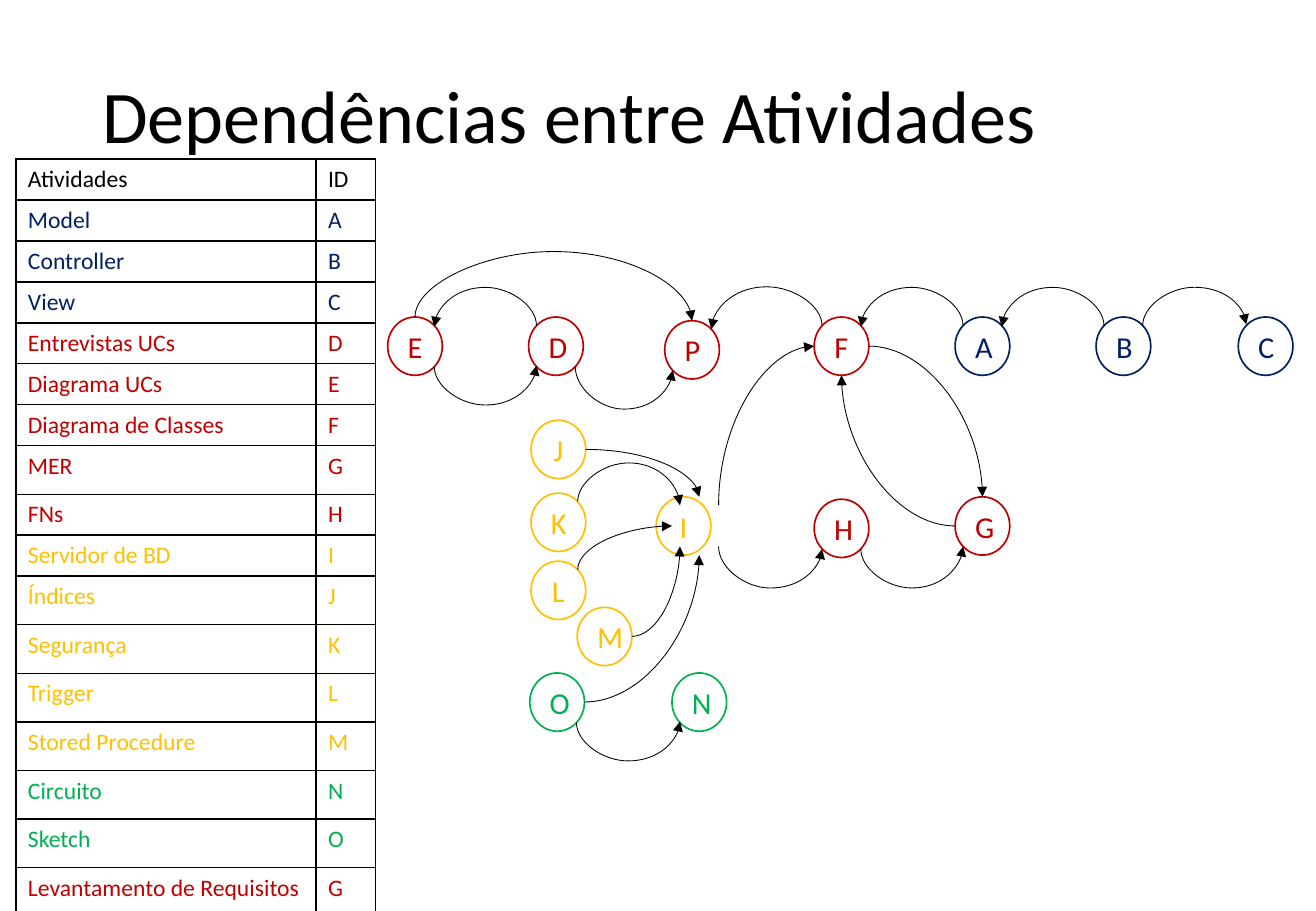
from dataclasses import dataclass

from pptx import Presentation
from pptx import util as u
from pptx.dml.color import RGBColor
from pptx.enum import shapes, text
from pptx.oxml.ns import qn
from lxml import etree


@dataclass(frozen=True)
class Theme:
    """Colours, font and type sizes."""
    font: str = "Calibri"
    black: str = "000000"
    white: str = "FFFFFF"
    navy: str = "002060"
    red: str = "C00000"
    gold: str = "FFC000"
    green: str = "00B050"
    title: int = 44
    node: int = 18
    cell: int = 14


T = Theme()
TITLE = "Dependências entre Atividades"

# Colour, then (activity, ID) rows
GROUPS = [
    (T.black, [("Atividades", "ID")]),
    (T.navy, [("Model", "A"), ("Controller", "B"), ("View", "C")]),
    (T.red, [("Entrevistas UCs", "D"), ("Diagrama UCs", "E"),
             ("Diagrama de Classes", "F"), ("MER", "G"), ("FNs", "H")]),
    (T.gold, [("Servidor de BD", "I"), ("Índices", "J"), ("Segurança", "K"),
              ("Trigger", "L"), ("Stored Procedure", "M")]),
    (T.green, [("Circuito", "N"), ("Sketch", "O")]),
    (T.red, [("Levantamento de Requisitos", "G")]),
]
COLS = (2.47, 0.49)
LOW, TALL = 0.33, 0.4
TALL_ROWS = {7, *range(10, 17)}

# Colour, then left and top of each node
NODES = [
    (T.navy, {"A": (7.86, 2.61), "B": (9.02, 2.61), "C": (10.19, 2.61)}),
    (T.red, {"D": (4.35, 2.61), "E": (3.19, 2.61), "F": (6.7, 2.61),
             "G": (7.86, 4.09), "H": (6.7, 4.11), "P": (5.47, 2.64)}),
    (T.gold, {"I": (5.4, 4.09), "J": (4.37, 3.46), "K": (4.37, 4.06),
              "L": (4.37, 4.62), "M": (4.75, 5)}),
    (T.green, {"N": (5.53, 5.54), "O": (4.36, 5.54)}),
]
WIDE, HIGH = 0.45, 0.48
HUB = (5.53, 4.09)  # where the arrows around I meet

# Node and side at each end; arcs leave and arrive on the same edge
ARCS = [
    ("B", "ne", "C", "nw"), ("B", "nw", "A", "ne"), ("A", "nw", "F", "ne"),
    ("F", "nw", "P", "ne"), ("D", "nw", "E", "ne"), ("E", "se", "D", "sw"),
    ("D", "se", "P", "sw"), ("E", "n", "P", "n"), ("H", "se", "G", "sw"),
    ("hub", "se", "H", "sw"), ("K", "ne", "hub", "nw"), ("O", "se", "N", "sw"),
]
BENDS = [
    ("G", "w", "F", "s"), ("F", "e", "G", "n"), ("hub", "ne", "F", "w"),
    ("J", "e", "hub", "n"), ("L", "ne", "hub", "w"), ("M", "e", "hub", "sw"),
    ("O", "e", "hub", "s"),
]
BULGE, HIGH_BULGE = 0.32, 0.54
SPOTS = {"hub": HUB}
for _, group in NODES:
    SPOTS.update(group)


def write(frame, words, size, color):
    """Put one formatted run in a text frame."""
    run = frame.paragraphs[0].add_run()
    run.text = words
    run.font.name, run.font.size = T.font, u.Pt(size)
    run.font.color.rgb = RGBColor.from_string(color)


def edge(cell):
    """Give a cell black borders on all sides."""
    props = cell._tc.get_or_add_tcPr()
    for i, side in enumerate(("lnL", "lnR", "lnT", "lnB")):
        line = etree.Element(qn("a:" + side), w=str(u.Pt(1)))
        fill = etree.SubElement(line, qn("a:solidFill"))
        etree.SubElement(fill, qn("a:srgbClr"), val=T.black)
        props.insert(i, line)


def add_grid(slide):
    """Draw the table of activities."""
    rows = [(color, row) for color, group in GROUPS for row in group]
    sizes = [TALL if i in TALL_ROWS else LOW for i in range(len(rows))]
    box = [u.Inches(n) for n in (0.13, 1.31, sum(COLS), sum(sizes))]
    grid = slide.shapes.add_table(len(rows), len(COLS), *box).table
    grid.first_row = grid.horz_banding = False
    for col, width in zip(grid.columns, COLS):
        col.width = u.Inches(width)
    for i, (color, row) in enumerate(rows):
        grid.rows[i].height = u.Inches(sizes[i])
        for j, words in enumerate(row):
            cell = grid.cell(i, j)
            cell.fill.background()
            edge(cell)
            write(cell.text_frame, words, T.cell, color)


def add_node(slide, name, spot, color):
    """Draw one lettered ellipse."""
    box = [u.Inches(n) for n in (*spot, WIDE, HIGH)]
    node = slide.shapes.add_shape(shapes.MSO_SHAPE.OVAL, *box)
    node.shadow.inherit = False
    node.fill.solid()
    node.fill.fore_color.rgb = RGBColor.from_string(T.white)
    node.line.color.rgb = RGBColor.from_string(color)
    node.line.width = u.Pt(1)
    frame = node.text_frame
    frame.word_wrap = True
    frame.vertical_anchor = text.MSO_ANCHOR.MIDDLE
    frame.paragraphs[0].alignment = text.PP_ALIGN.CENTER
    write(frame, name, T.node, color)


def port(name, side):
    """Return the point on a node's outline at a compass side."""
    left, top = SPOTS[name]
    reach = 0.5 if len(side) == 1 else 0.5 ** 1.5
    across = ("e" in side) - ("w" in side)
    down = ("s" in side) - ("n" in side)
    return left + WIDE * (0.5 + across * reach), top + HIGH * (0.5 + down * reach)


def add_curve(slide, start, end, upright, apex=None):
    """Draw a curved arrow; upright ones leave vertically, apex bends an arc."""
    (x, y), (to_x, to_y) = start, end
    dx, dy = to_x - x, to_y - y
    if abs(dy) < 0.01:
        dy = -0.01 if dx > 0 else 0.01
    wide, high = abs(dx), abs(dy)
    if upright:
        wide, high = high, wide
        turn = 90 if dx > 0 > dy else 270
        flips = (True, True) if turn == 90 else (dy > 0, dx < 0)
    else:
        turn = 180 if dx < 0 else 0
        flips = (False, (dy < 0) != (dx < 0))
    left, top = x + (dx - wide) / 2, y + (dy - high) / 2
    box = [u.Inches(n) for n in (left, top, left + wide, top + high)]
    curve = slide.shapes.add_connector(shapes.MSO_CONNECTOR.CURVE, *box)
    curve.line.color.rgb = RGBColor.from_string(T.black)
    curve.line.width = u.Pt(0.5)
    props = curve._element.spPr
    frame = props.find(qn("a:xfrm"))
    frame.set("rot", str(turn * 60000))
    for key, flip in zip(("flipH", "flipV"), flips):
        frame.set(key, str(int(flip)))
    form = props.find(qn("a:prstGeom"))
    if apex is None:
        form.set("prst", "curvedConnector2")
    else:
        share = round((apex - y) / dy * 100000)
        form.get_or_add_avLst()
        etree.SubElement(form.find(qn("a:avLst")), qn("a:gd"),
                         name="adj1", fmla=f"val {share}")
    etree.SubElement(props.find(qn("a:ln")), qn("a:tailEnd"), type="triangle")
    etree.SubElement(props, qn("a:effectLst"))


def add_arrows(slide):
    """Draw every dependency arrow."""
    for name, side, goal, face in ARCS:
        start, end = port(name, side), port(goal, face)
        bulge = HIGH_BULGE if side == "n" else BULGE
        if "n" in side:
            apex = min(start[1], end[1]) - bulge
        else:
            apex = max(start[1], end[1]) + bulge
        add_curve(slide, start, end, True, apex)
    for name, side, goal, face in BENDS:
        add_curve(slide, port(name, side), port(goal, face), "n" in side)


def main():
    """Build and save the slide."""
    deck = Presentation()
    deck.slide_width, deck.slide_height = u.Inches(10.83), u.Inches(7.5)
    slide = deck.slides.add_slide(deck.slide_layouts[5])
    title = slide.shapes.title
    title.left, title.top = u.Inches(0.74), u.Inches(0.4)
    title.width, title.height = u.Inches(9.34), u.Inches(1.16)
    title.text_frame.vertical_anchor = text.MSO_ANCHOR.MIDDLE
    head = title.text_frame.paragraphs[0]
    head.alignment, head.line_spacing = text.PP_ALIGN.LEFT, 0.9
    write(title.text_frame, TITLE, T.title, T.black)
    add_grid(slide)
    for color, group in NODES:
        for name, spot in group.items():
            add_node(slide, name, spot, color)
    add_arrows(slide)
    deck.save("out.pptx")


main()
